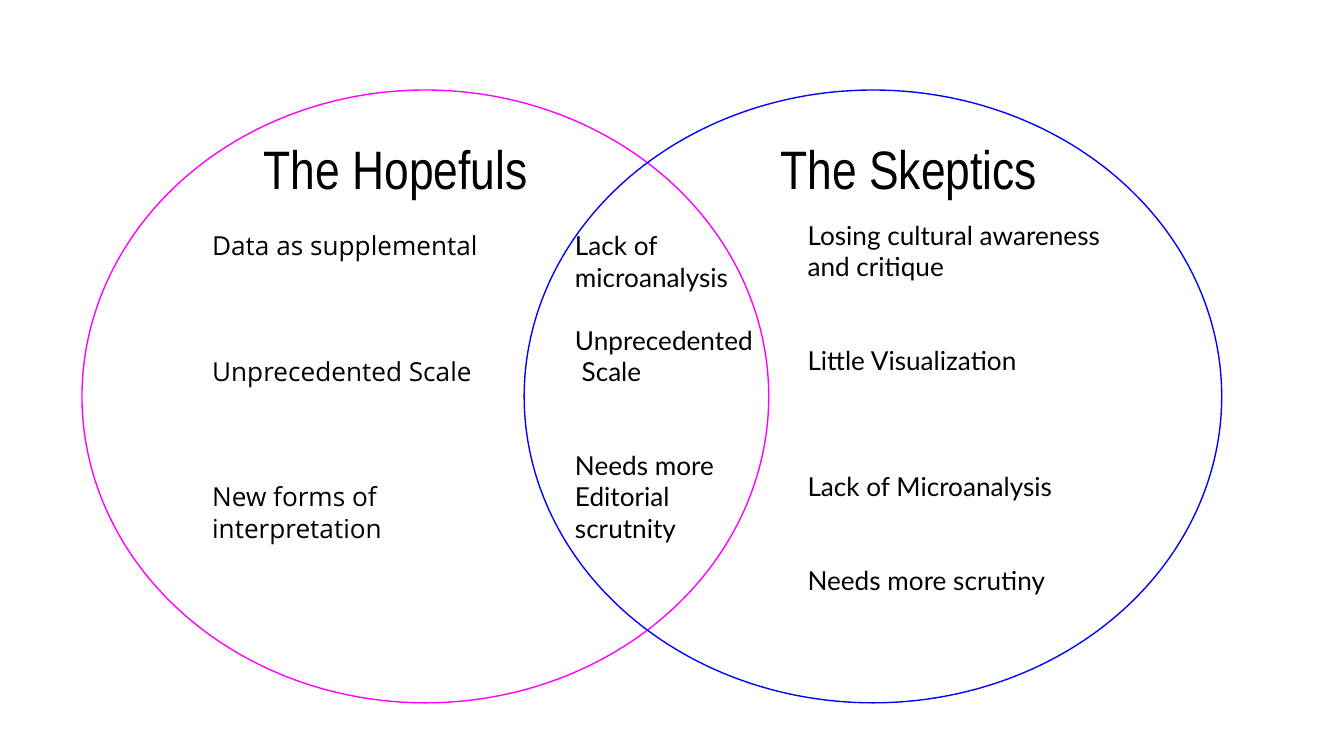
from pptx import Presentation
from pptx.dml.color import RGBColor
from pptx.enum import shapes, text
from pptx.util import Inches, Pt

BODY_SIZE = 14
LINE_HEIGHT = 16.8  # points, one line of body text


def color(hex_string):
    return RGBColor.from_string(hex_string)


def add_circle(slide, left, width, line_color):
    shape = slide.shapes.add_shape(shapes.MSO_SHAPE.OVAL, Inches(left), Inches(0.67),
                                   Inches(width), Inches(4.56))
    shape.shadow.inherit = False
    shape.fill.background()
    shape.line.color.rgb = color(line_color)
    shape.line.width = Pt(0.75)


def add_text_frame(slide, left, top, width, height):
    shape = slide.shapes.add_textbox(Inches(left), Inches(top), Inches(width), Inches(height))
    frame = shape.text_frame
    frame.word_wrap = True
    frame.margin_left = frame.margin_right = Inches(0.1)
    frame.margin_top = frame.margin_bottom = Inches(0.1)
    return frame


def add_run(paragraph, words, font_name, size):
    run = paragraph.add_run()
    run.text = words
    run.font.name = font_name
    run.font.size = Pt(size)
    run.font.color.rgb = color("000000")


def add_title(slide, left, words):
    paragraph = add_text_frame(slide, left, 0.91, 3.16, 0.62).paragraphs[0]
    paragraph.alignment = text.PP_ALIGN.CENTER
    add_run(paragraph, words, "Arial Narrow", 29)
    return paragraph


def add_points(slide, box, font_name, points):
    """Each point is its wording and the number of lines left open above it."""
    frame = add_text_frame(slide, *box)
    for index, (words, open_lines) in enumerate(points):
        paragraph = frame.add_paragraph() if index else frame.paragraphs[0]
        paragraph.line_spacing = Pt(LINE_HEIGHT)
        paragraph.space_before = Pt(open_lines * LINE_HEIGHT)
        add_run(paragraph, words, font_name, BODY_SIZE)


def main():
    # Widescreen slide, 16:9
    presentation = Presentation()
    presentation.slide_width = Inches(10)
    presentation.slide_height = Inches(10) * 9 // 16
    slide = presentation.slides.add_slide(presentation.slide_layouts[6])

    # Overlapping circles
    add_circle(slide, 0.61, 5.11, "FF00FF")
    add_circle(slide, 3.9, 5.19, "0000FF")

    # Points of each side and of the overlap
    add_points(slide, (1.48, 1.61, 2.58, 2.41), "Open Sans", [
        ("Data as supplemental", 0),
        ("Unprecedented Scale", 3),
        ("New forms of interpretation", 3),
    ])
    add_points(slide, (5.91, 1.53, 2.48, 3.03), "Lato", [
        ("Losing cultural awareness and critique", 0),
        ("Little Visualization", 2),
        ("Lack of Microanalysis", 3),
        ("Needs more scrutiny", 2),
    ])
    add_points(slide, (4.18, 1.61, 1.54, 2.41), "Lato", [
        ("Lack of microanalysis", 0),
        ("Unprecedented  Scale", 1),
        ("Needs more Editorial  scrutnity", 2),
    ])

    # Titles
    hopefuls = add_title(slide, 1.39, "The Hopefuls")
    add_run(hopefuls, " ", "Lato", BODY_SIZE)
    add_title(slide, 5.23, "The Skeptics ")

    presentation.save("out.pptx")


if __name__ == "__main__":
    main()
